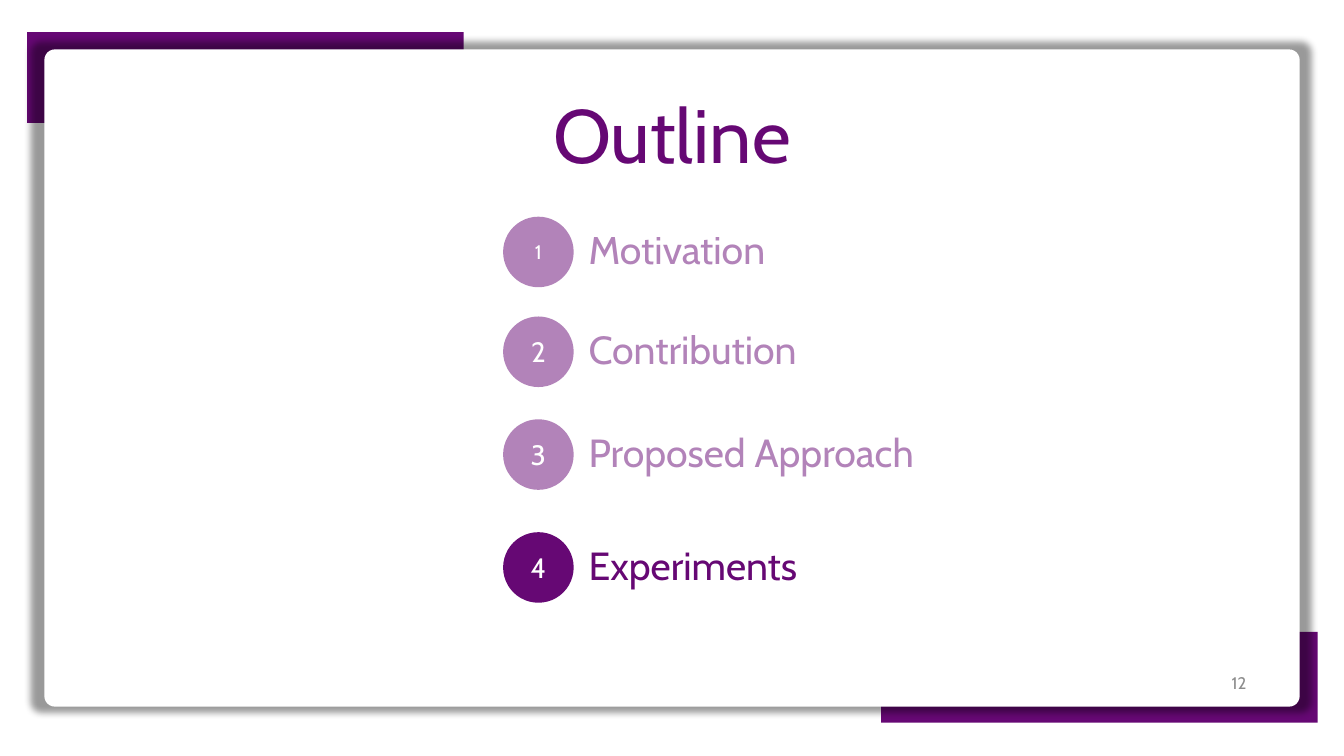
from lxml import etree
from pptx import Presentation
from pptx import util as u
from pptx.dml.color import RGBColor
from pptx.enum import shapes, text
from pptx.oxml import ns, parse_xml

SHADOW = (
    f'<a:effectLst {ns.nsdecls("a")}>'
    '<a:outerShdw blurRad="63500" sx="102000" sy="102000" algn="ctr" rotWithShape="0">'
    '<a:srgbClr val="000000"><a:alpha val="40000"/></a:srgbClr>'
    '</a:outerShdw></a:effectLst>'
)


def rgb(value):
    return RGBColor.from_string(value)


class OutlineSlide:
    font = "Cabin"
    purple = "660874"
    white = "FFFFFF"
    grey = "8C8C8C"

    def __init__(self, prs):
        self.s = prs.slides.add_slide(prs.slide_layouts[6])
        self.paint(self.s.background.fill, self.white)

    def paint(self, fill, color, alpha=100):
        fill.solid()
        fill.fore_color.rgb = rgb(color)
        if alpha < 100:
            clr = fill._xPr.find(".//" + ns.qn("a:srgbClr"))
            etree.SubElement(clr, ns.qn("a:alpha"), val=str(alpha * 1000))

    def shape(self, kind, box, color, alpha=100, parent=None):
        sp = (parent or self.s).shapes.add_shape(kind, *map(u.Inches, box))
        sp.shadow.inherit = False
        sp.line.fill.background()
        self.paint(sp.fill, color, alpha)
        return sp

    def panel(self, box, radius):
        sp = self.shape(shapes.MSO_SHAPE.ROUNDED_RECTANGLE, box, self.white)
        sp.adjustments[0] = radius
        props = sp._element.spPr
        props.replace(props.find(ns.qn("a:effectLst")), parse_xml(SHADOW))

    def words(self, sp, wording, size, color, align, alpha=100, spacing=None, middle=False):
        tf = sp.text_frame
        tf.word_wrap = True
        tf.vertical_anchor = text.MSO_ANCHOR.MIDDLE if middle else text.MSO_ANCHOR.TOP
        p = tf.paragraphs[0]
        p.alignment = align
        p.line_spacing = spacing
        r = p.add_run()
        r.text = wording
        r.font.name = self.font
        r.font.size = u.Pt(size)
        self.paint(r.font.fill, color, alpha)

    def label(self, box, *args, parent=None, **style):
        sp = (parent or self.s).shapes.add_textbox(*map(u.Inches, box))
        self.words(sp, *args, **style)

    def topic(self, number, wording, top, number_size=20, alpha=50):
        group = self.s.shapes.add_group_shape()
        sp = self.shape(shapes.MSO_SHAPE.OVAL, (4.99, top, 0.7, 0.7),
                        self.purple, alpha, group)
        self.words(sp, str(number), number_size, self.white,
                   text.PP_ALIGN.CENTER, middle=True)
        self.label((5.74, top + 0.09, 5.4, 0.52), wording, 28, self.purple,
                   text.PP_ALIGN.LEFT, parent=group, alpha=alpha, spacing=0.9)


def main():
    prs = Presentation()
    prs.slide_width, prs.slide_height = u.Inches(13.33), u.Inches(7.5)
    slide = OutlineSlide(prs)
    for left, top in ((8.74, 6.27), (0.27, 0.32)):
        slide.shape(shapes.MSO_SHAPE.RECTANGLE, (left, top, 4.33, 0.9), slide.purple)
    slide.panel((0.44, 0.49, 12.45, 6.52), 0.016)
    slide.label((9.46, 6.57, 3, 0.4), "12", 12, slide.grey,
                text.PP_ALIGN.RIGHT, middle=True)
    slide.label((4.63, 0.93, 4.07, 0.84), "Outline", 54, slide.purple,
                text.PP_ALIGN.CENTER, spacing=0.9)
    slide.topic(1, "Motivation", 2.15, number_size=14)
    slide.topic(2, "Contribution", 3.14)
    slide.topic(3, "Proposed Approach", 4.16)
    slide.topic(4, "Experiments", 5.28, alpha=100)
    prs.save("out.pptx")


if __name__ == "__main__":
    main()
